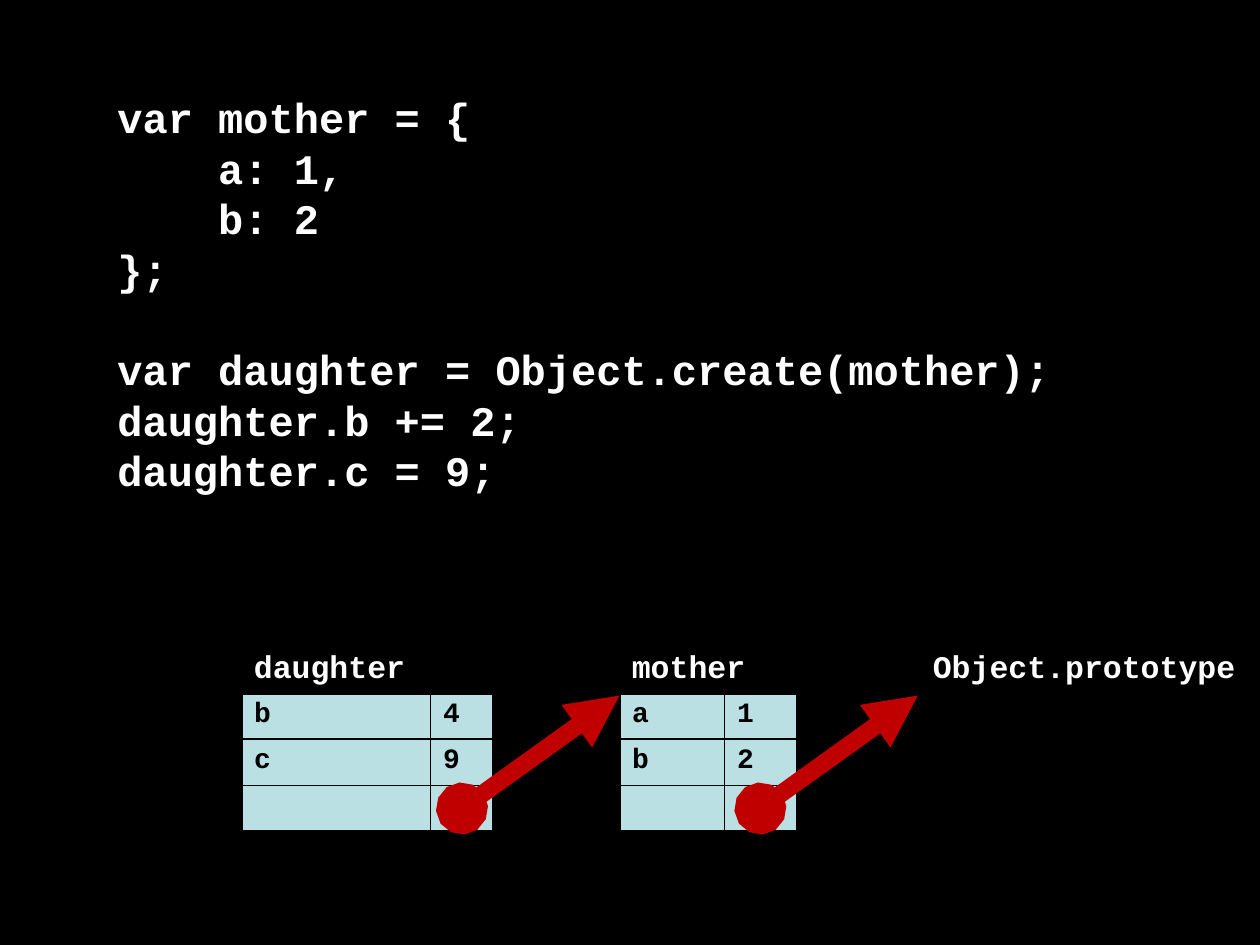
from lxml.etree import SubElement
from pptx import Presentation
from pptx.dml.color import RGBColor
from pptx.enum.shapes import MSO_CONNECTOR as CONN
from pptx.enum.text import MSO_AUTO_SIZE as AUTO
from pptx.oxml.ns import qn
from pptx.util import Pt

BLACK = RGBColor(0x00, 0x00, 0x00)
WHITE = RGBColor(0xFF, 0xFF, 0xFF)
RED = RGBColor(0xC0, 0x00, 0x00)
PALE_BLUE = RGBColor(0xBB, 0xE0, 0xE3)

CHAR_W, LINE_H = 14.4, 28.8  # code text at 24 pt
LABEL_Y, TABLE_Y, TABLE_H = 366, 396, 79.2

# (indent in characters, blank lines above, text)
CODE = [
    (0, 0, "var mother = {"),
    (4, 0, "a: 1,"),
    (4, 0, "b: 2"),
    (0, 0, "};"),
    (0, 1, "var daughter = Object.create(mother);"),
    (0, 0, "daughter.b += 2;"),
    (0, 0, "daughter.c = 9;"),
]


class Canvas:
    font = "Courier New"

    def __init__(self, prs):
        self.slide = prs.slides.add_slide(prs.slide_layouts[6])
        fill = self.slide.background.fill
        fill.solid()
        fill.fore_color.rgb = BLACK

    def run(self, p, text, size, color):
        r = p.add_run()
        r.text = text
        r.font.name, r.font.size, r.font.bold = self.font, Pt(size), True
        r.font.color.rgb = color

    def text_frame(self, x, y, w, h, wrap):
        tf = self.slide.shapes.add_textbox(Pt(x), Pt(y), Pt(w), Pt(h)).text_frame
        tf.word_wrap = wrap
        tf.auto_size = AUTO.SHAPE_TO_FIT_TEXT
        return tf

    def code(self, x, y, w, h, lines):
        tf = self.text_frame(x, y, w, h, True)
        for i, (indent, gap, text) in enumerate(lines):
            p = tf.add_paragraph() if i else tf.paragraphs[0]
            p.line_spacing = Pt(LINE_H)
            p.space_before = Pt(gap * LINE_H)
            p._p.get_or_add_pPr().set("marL", str(Pt(indent * CHAR_W)))
            self.run(p, text, 24, WHITE)

    def label(self, x, w, text):
        tf = self.text_frame(x, LABEL_Y, w, 28.8, False)
        self.run(tf.paragraphs[0], text, 18, WHITE)

    def border(self, cell, side, width):
        ln = SubElement(cell._tc.get_or_add_tcPr(), qn(f"a:ln{side}"), w=str(Pt(width)))
        SubElement(SubElement(ln, qn("a:solidFill")), qn("a:srgbClr"), val=str(BLACK))

    def table(self, x, col_widths, rows):
        n_rows, n_cols = len(rows), len(col_widths)
        tbl = self.slide.shapes.add_table(
            n_rows, n_cols, Pt(x), Pt(TABLE_Y), Pt(sum(col_widths)), Pt(TABLE_H)).table
        for col, w in zip(tbl.columns, col_widths):
            col.width = Pt(w)
        for i, row in enumerate(rows):
            tbl.rows[i].height = Pt(TABLE_H / n_rows)
            for j, text in enumerate(row):
                cell = tbl.cell(i, j)
                outer = {"L": j == 0, "R": j == n_cols - 1,
                         "T": i == 0, "B": i == n_rows - 1}
                for side, is_outer in outer.items():
                    self.border(cell, side, 2.25 if is_outer else 1)
                cell.fill.solid()
                cell.fill.fore_color.rgb = PALE_BLUE
                if text:
                    self.run(cell.text_frame.paragraphs[0], text, 16, BLACK)
                else:
                    cell.margin_top = cell.margin_bottom = 0

    def arrow(self, x1, y1, x2, y2):
        """Thick line from a round dot to an arrowhead."""
        cx = self.slide.shapes.add_connector(CONN.STRAIGHT, Pt(x1), Pt(y1), Pt(x2), Pt(y2))
        cx.line.width = Pt(10)
        cx.line.color.rgb = RED
        ln = cx.line._get_or_add_ln()
        SubElement(ln, qn("a:headEnd"), type="oval")
        SubElement(ln, qn("a:tailEnd"), type="triangle")
        SubElement(cx._element.spPr, qn("a:effectLst"))


def main():
    prs = Presentation()
    prs.slide_width, prs.slide_height = Pt(720), Pt(540)
    c = Canvas(prs)
    c.code(60, 49, 612, 240, CODE)
    c.table(354, (60, 42), [("a", "1"), ("b", "2"), ("", "")])
    c.table(138, (108, 36), [("b", "4"), ("c", "9"), ("", "")])
    for x, w, name in [(138, 101.5, "daughter"), (354, 80, "mother"),
                       (526, 188, "Object.prototype")]:
        c.label(x, w, name)
    for x in (264, 434.5):
        c.arrow(x, 462, x + 90, 397.5)
    prs.save("out.pptx")


if __name__ == "__main__":
    main()
